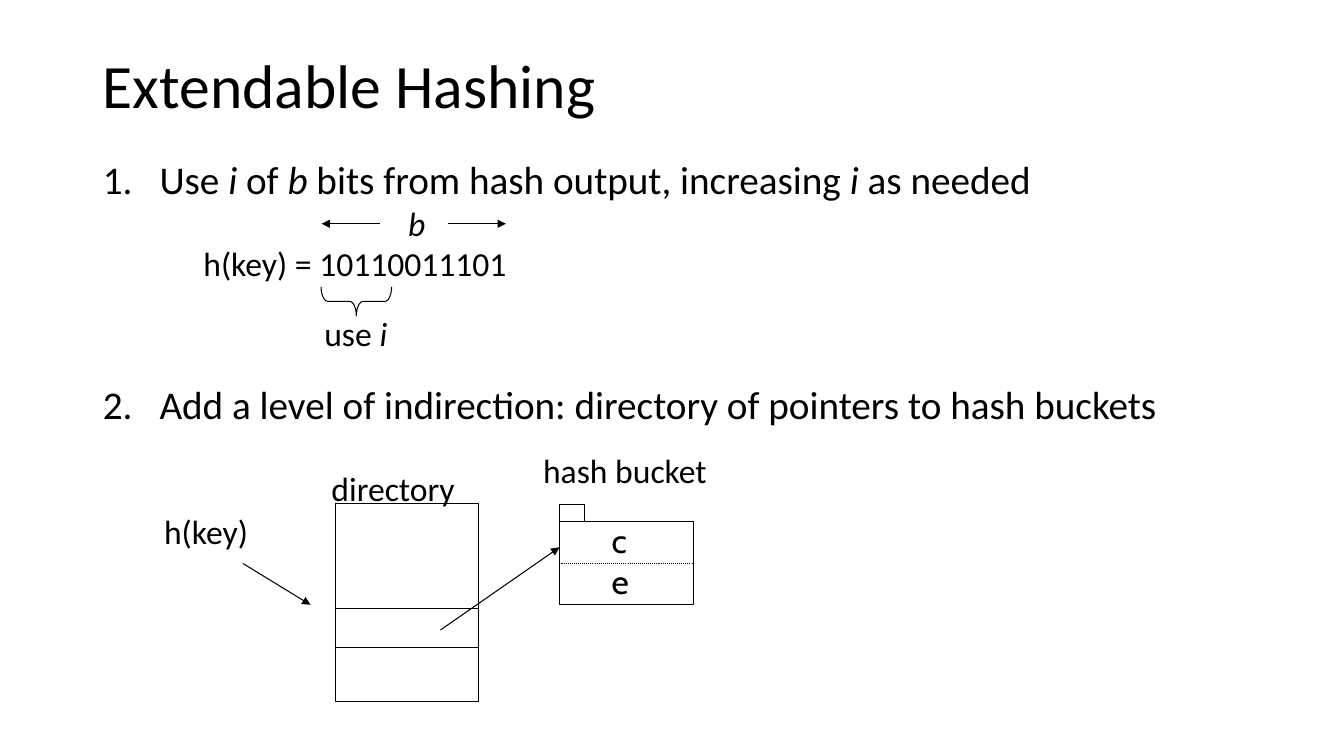
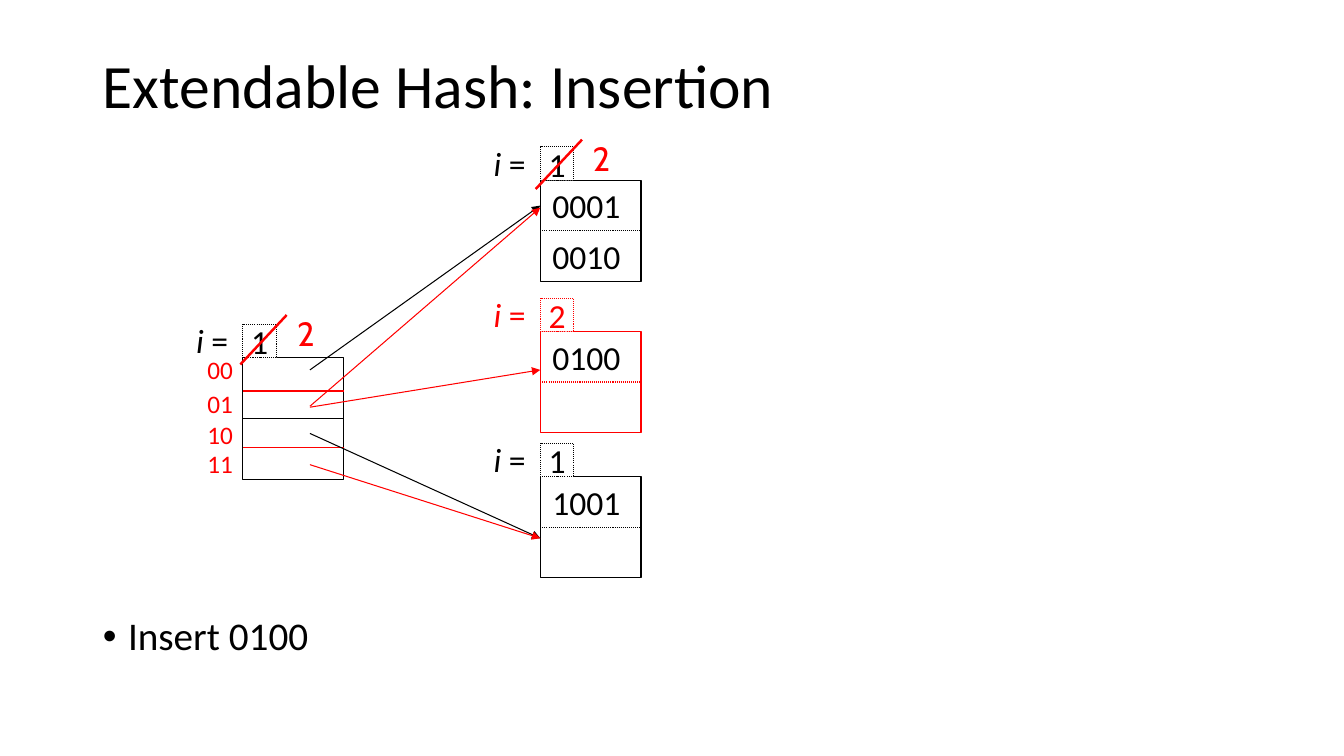
from dataclasses import dataclass
from typing import Any

from lxml.etree import SubElement as Sub
from pptx import Presentation
from pptx.dml.color import RGBColor as Rgb
from pptx.enum.dml import MSO_LINE as Dash
from pptx.enum.shapes import MSO_CONNECTOR as Link, MSO_SHAPE as Kind
from pptx.enum.text import MSO_ANCHOR as Anchor, MSO_AUTO_SIZE as Fit, PP_ALIGN as Align
from pptx.oxml.ns import qn
from pptx.util import Pt

HEX = {"ink": "000000", "paper": "FFFFFF", "new": "FF0000"}
SANS, HAND = "Calibri", "Cabin"
LEFT, WIDE = 66.24, 828


@dataclass(frozen=True)
class Box:
    """Place and size in points."""
    x: float
    y: float
    w: float
    h: float = 36

    def lens(self) -> list[Pt]:
        """Give the four lengths."""
        return [Pt(n) for n in (self.x, self.y, self.w, self.h)]


@dataclass(frozen=True)
class Label:
    """Text in a box; words between asterisks are italic."""
    text: str
    box: Box
    size: float = 24
    hue: str = "ink"
    font: str = SANS


@dataclass(frozen=True)
class Line:
    """Straight line, with or without an arrowhead."""
    x1: float
    y1: float
    x2: float
    y2: float
    hue: str = "ink"
    width: float = 0.75
    head: bool = False
    dots: bool = False


@dataclass(frozen=True)
class Bucket:
    """Hash bucket with its bit count and keys."""
    y: float
    bits: str
    keys: tuple[str, ...]
    hue: str = "ink"


def color(name: str) -> Rgb:
    """Look up a colour."""
    return Rgb.from_string(HEX[name])


def apply(item: Any, form: dict[str, Any]) -> None:
    """Set the attributes named in a dict."""
    for name, value in form.items():
        setattr(item, name, value)


def write(par: Any, text: str, size: float, hue: str = "ink", font: str = SANS) -> None:
    """Add runs to a paragraph, with marked words in italics."""
    for n, part in enumerate(text.split("*")):
        if part:
            run = par.add_run()
            run.text = part
            apply(run.font, {"size": Pt(size), "name": font, "italic": n % 2 == 1})
            run.font.color.rgb = color(hue)


def label(slide: Any, item: Label) -> None:
    """Draw a text box."""
    frame = slide.shapes.add_textbox(*item.box.lens()).text_frame
    apply(frame, {"word_wrap": False, "auto_size": Fit.SHAPE_TO_FIT_TEXT})
    write(frame.paragraphs[0], item.text, item.size, item.hue, item.font)


def stroke(line: Any, hue: str, width: float = 0.75, dots: bool = False) -> None:
    """Format a line or an outline."""
    line.color.rgb = color(hue)
    line.width = Pt(width)
    if dots:
        line.dash_style = Dash.ROUND_DOT


def rule(slide: Any, item: Line) -> None:
    """Draw a line."""
    ends = (Pt(n) for n in (item.x1, item.y1, item.x2, item.y2))
    link = slide.shapes.add_connector(Link.STRAIGHT, *ends)
    stroke(link.line, item.hue, item.width, item.dots)
    props = link.element.spPr
    if item.head:
        Sub(props.find(qn("a:ln")), qn("a:tailEnd"), type="triangle")
    Sub(props, qn("a:effectLst"))


def rect(slide: Any, box: Box, hue: str = "ink", text: str = "", dots: bool = False) -> None:
    """Draw a white box with centred text."""
    shape = slide.shapes.add_shape(Kind.RECTANGLE, *box.lens())
    shape.shadow.inherit = False
    shape.fill.solid()
    shape.fill.fore_color.rgb = color("paper")
    stroke(shape.line, hue, dots=dots)
    frame = shape.text_frame
    apply(frame, {"word_wrap": False, "vertical_anchor": Anchor.MIDDLE})
    frame.paragraphs[0].alignment = Align.CENTER
    write(frame.paragraphs[0], text, 24, hue)


def page(deck: Any, title: str, box: Box, items: tuple[str, ...],
         indent: float, mark: tuple[str, str, str], gap: float = 10) -> Any:
    """Add a slide with its title and list."""
    slide = deck.slides.add_slide(deck.slide_layouts[1])
    head, body = slide.placeholders
    for holder, place, anchor in ((head, Box(LEFT, 23.76, WIDE, 78.48), Anchor.MIDDLE),
                                  (body, box, Anchor.TOP)):
        apply(holder, dict(zip(("left", "top", "width", "height"), place.lens())))
        apply(holder.text_frame, {"word_wrap": True, "auto_size": Fit.NONE,
                                  "vertical_anchor": anchor})
    par = head.text_frame.paragraphs[0]
    apply(par, {"alignment": Align.LEFT, "line_spacing": 0.9})
    write(par, title, 44)
    tag, key, value = mark
    for n, text in enumerate(items):
        par = body.text_frame.add_paragraph() if n else body.text_frame.paragraphs[0]
        apply(par, {"alignment": Align.LEFT, "line_spacing": 0.9,
                    "space_before": Pt(gap if n else 10)})
        props = par._p.get_or_add_pPr()
        props.set("marL", str(Pt(indent)))
        props.set("indent", str(-Pt(indent)))
        Sub(props, qn(tag), {key: value})
        write(par, text, 28)
    return slide


def tab(slide: Any, x: float, y: float, bits: str, hue: str = "ink") -> None:
    """Draw the bit count that sits on top of a box."""
    rect(slide, Box(x, y - 24, 24, 24), hue, bits, dots=True)
    label(slide, Label("*i* =", Box(x - 40.5, y - 30.5, 37.44), hue=hue))


def store(slide: Any, item: Bucket) -> None:
    """Draw a hash bucket with two slots."""
    x, side, half = 385.92, 72, 36
    rect(slide, Box(x, item.y, side, side), item.hue)
    tab(slide, x, item.y, item.bits, item.hue)
    rule(slide, Line(x, item.y + half, x + side, item.y + half, item.hue, dots=True))
    for n, key in enumerate(item.keys):
        label(slide, Label(key, Box(x + 1.6, item.y + half * n, 63.36)))


def revise(slide: Any, x: float, y: float) -> None:
    """Strike out a bit count and write the new one."""
    label(slide, Label("2", Box(x, y, 28.08), hue="new", font=HAND))
    rule(slide, Line(x - 33.5, y + 40, x - 0.4, y + 4.7, "new", 1.75))


def concept(deck: Any) -> None:
    """Build the slide on the idea."""
    slide = page(deck, "Extendable Hashing", Box(LEFT, 110.88, WIDE, 375.84),
                 ("Use *i* of *b* bits from hash output, increasing *i* as needed",
                  "Add a level of indirection: directory of pointers to hash buckets"),
                 40.5, ("a:buAutoNum", "type", "arabicPeriod"), 131)
    brace = slide.shapes.add_shape(Kind.RIGHT_BRACE, *Box(244.08, 190.08, 20.88, 50.4).lens())
    brace.rotation = 90
    brace.adjustments[0], brace.adjustments[1] = 0.229, 0.5
    brace.shadow.inherit = False
    brace.fill.background()
    stroke(brace.line, "ink")
    x, right = 239.76, 342
    rect(slide, Box(x, 360, right - x, 141.12))
    for y in (434.88, 462.24):
        rule(slide, Line(x, y, right, y))
    x, right = 399.6, 495.36
    rect(slide, Box(x, 372.24, right - x, 59.76))
    rect(slide, Box(x, 360.72, 18, 11.52))
    rule(slide, Line(x, 402.48, right, 402.48, dots=True))
    for ends in ((271.44, 159.84, 229.68, 159.84), (319.68, 159.84, 361.44, 159.84),
                 (173.52, 402.48, 221.76, 432), (314.64, 450, x, 390.96)):
        rule(slide, Line(*ends, head=True))
    for item in (Label("h(key) = 10110011101", Box(138.24, 169.92, 241.92)),
                 Label("*b*", Box(284.4, 141.12, 27.36)),
                 Label("use *i*", Box(224.64, 220.32, 59.76)),
                 Label("c", Box(429.84, 367.92, 25.92), font=HAND),
                 Label("e", Box(429.84, 397.44, 27.36), font=HAND),
                 Label("hash bucket", Box(380.88, 317.52, 132.48)),
                 Label("directory", Box(229.68, 330.48, 107.28)),
                 Label("h(key)", Box(110.16, 361.44, 74.88))):
        label(slide, item)


def insert(deck: Any) -> None:
    """Build the slide on insertion."""
    slide = page(deck, "Extendable Hash: Insertion", Box(LEFT, 437, WIDE, 90),
                 ("Insert 0100",), 18, ("a:buChar", "char", "•"))
    x, top, side = 173.52, 255.6, 72
    rect(slide, Box(x, top, side, 87.12))
    tab(slide, x, top, "1")
    for y, hue in ((279.36, "new"), (298.8, "ink"), (319.68, "new")):
        rule(slide, Line(x, y, x + side, y, hue, 1))
    for code, y in (("00", 249.84), ("01", 273.6), ("10", 295.92), ("11", 316.8)):
        label(slide, Label(code, Box(141.12, y, 33.12, 28.8), 18, "new"))
    start, end = 221.4, 385.92
    for y1, y2 in ((264.24, 146.88), (309.6, 384.48)):
        rule(slide, Line(start, y1, end, y2, head=True))
    for item in (Bucket(128.88, "1", ("0001", "0010")),
                 Bucket(340.56, "1", ("1001",)),
                 Bucket(236.88, "2", ("0100",), "new")):
        store(slide, item)
    for y1, y2 in ((290.16, 148.32), (290.88, 264.24), (331.92, 384.48)):
        rule(slide, Line(start, y1, end, y2, "new", head=True))
    revise(slide, 416.16, 95.04)
    revise(slide, 205.2, 220.32)


def main() -> None:
    """Build and save the deck."""
    deck = Presentation()
    apply(deck, {"slide_width": Pt(960), "slide_height": Pt(540)})
    concept(deck)
    insert(deck)
    deck.save("out.pptx")


main()
